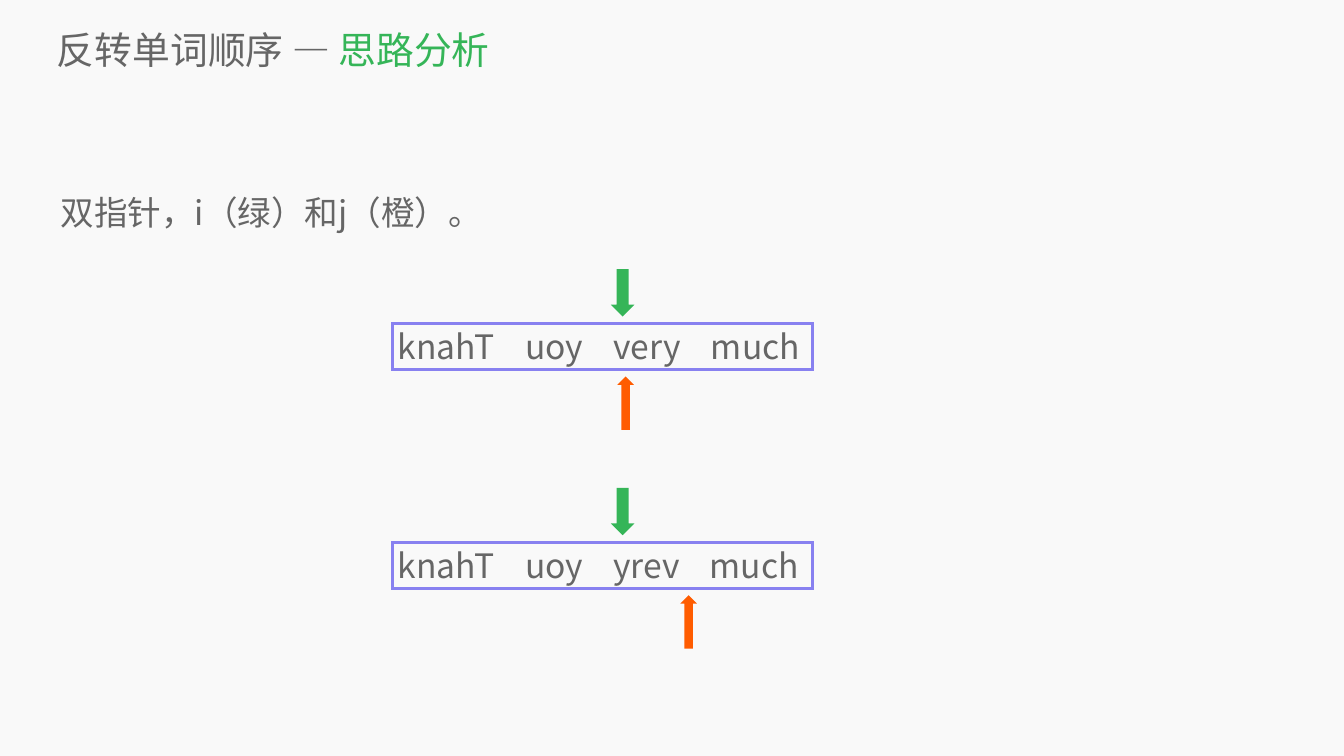
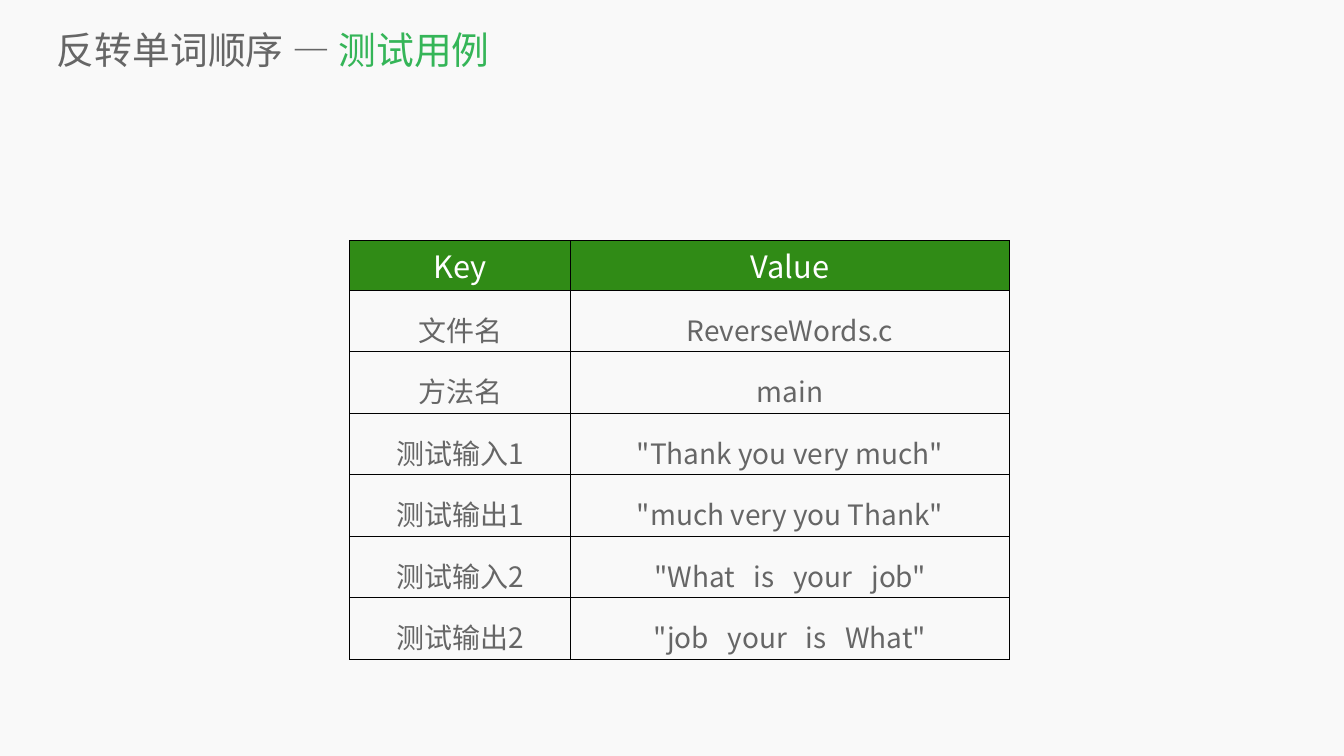
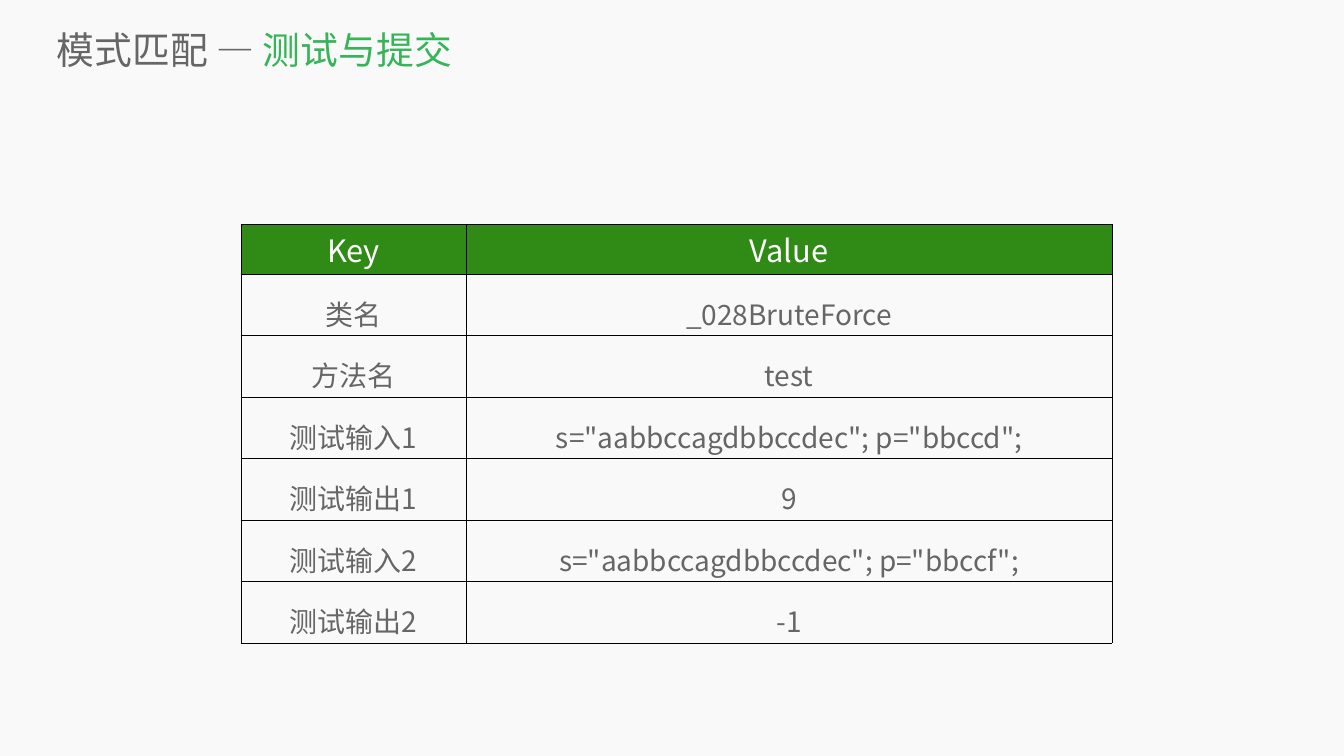
from dataclasses import dataclass

from lxml import etree
from pptx import Presentation
from pptx import util as u
from pptx.dml.color import RGBColor
from pptx.enum import shapes, text
from pptx.oxml import ns


@dataclass(frozen=True)
class Theme:
    font: str = "Noto Sans CJK SC"
    paper: str = "F9F9F9"
    ink: str = "666666"
    green: str = "35B558"
    orange: str = "FF5C00"
    frame: str = "8881F0"
    head: str = "308B16"
    white: str = "FFFFFF"
    border: str = "000000"
    title_pt: int = 54
    body_pt: int = 48
    head_pt: int = 44
    cell_pt: int = 40
    frame_pt: int = 4
    border_pt: int = 1
    spacing: float = 1.4


T = Theme()
SHAPE = shapes.MSO_SHAPE
HEAD_HEIGHT, ROW_HEIGHT = 0.99, 1.22


def rgb(value):
    return RGBColor.from_string(value)


def inches(*values):
    return [u.Inches(v) for v in values]


def add_run(p, words, size, color):
    r = p.add_run()
    r.text = words
    r.font.size, r.font.bold = u.Pt(size), False
    r.font.color.rgb = rgb(color)
    r.font.name = T.font
    ea = etree.SubElement(r.font._element, ns.qn("a:ea"))
    ea.set("typeface", T.font)


def add_text(s, box, runs, size, anchor, spacing=None):
    """Add a text box without insets; runs are (words, colour) pairs."""
    tf = s.shapes.add_textbox(*inches(*box)).text_frame
    tf.word_wrap, tf.vertical_anchor = True, anchor
    tf.margin_left = tf.margin_top = tf.margin_right = tf.margin_bottom = 0
    p = tf.paragraphs[0]
    p.line_spacing = spacing
    for words, color in runs:
        add_run(p, words, size, color)


def add_titled_slide(prs, topic, section):
    s = prs.slides.add_slide(prs.slide_layouts[6])
    add_text(s, (1.13, 0.47, 25.16, 1.02),
             [(f"{topic} — ", T.ink), (section, T.green)],
             T.title_pt, text.MSO_ANCHOR.MIDDLE)
    return s


def add_arrow(s, kind, box, color):
    sp = s.shapes.add_shape(kind, *inches(*box))
    sp.shadow.inherit = False
    sp.fill.solid()
    sp.fill.fore_color.rgb = rgb(color)
    sp.line.fill.background()


def add_pointer_step(s, box, words, j_offset):
    """Framed string with pointer i above it and pointer j below it."""
    left, top, _, height = box
    sp = s.shapes.add_shape(SHAPE.RECTANGLE, *inches(*box))
    sp.shadow.inherit = False
    sp.fill.background()
    sp.line.color.rgb, sp.line.width = rgb(T.frame), u.Pt(T.frame_pt)
    etree.SubElement(sp.line._get_or_add_ln(), ns.qn("a:miter"), lim="400000")
    tf = sp.text_frame
    tf.word_wrap, tf.vertical_anchor = True, text.MSO_ANCHOR.MIDDLE
    p = tf.paragraphs[0]
    p.alignment = text.PP_ALIGN.LEFT
    add_run(p, words, T.body_pt, T.ink)
    add_arrow(s, SHAPE.DOWN_ARROW, (left + 4.33, top - 1.08, 0.47, 0.94), T.green)
    add_arrow(s, SHAPE.UP_ARROW, (left + j_offset, top + height + 0.14, 0.33, 1.06), T.orange)


def add_borders(cell):
    tc_pr = cell._tc.get_or_add_tcPr()
    for side in ("lnL", "lnR", "lnT", "lnB"):
        ln = etree.SubElement(tc_pr, ns.qn(f"a:{side}"), w=str(u.Pt(T.border_pt)))
        fill = etree.SubElement(ln, ns.qn("a:solidFill"))
        etree.SubElement(fill, ns.qn("a:srgbClr"), val=T.border)


def fill_cell(cell, words, is_head):
    add_borders(cell)
    p = cell.text_frame.paragraphs[0]
    p.alignment = text.PP_ALIGN.CENTER
    if is_head:
        cell.fill.solid()
        cell.fill.fore_color.rgb = rgb(T.head)
        add_run(p, words, T.head_pt, T.white)
    else:
        cell.fill.background()
        p.line_spacing = T.spacing
        add_run(p, words, T.cell_pt, T.ink)


def add_key_value_table(s, left, top, widths, rows):
    rows = [("Key", "Value"), *rows]
    heights = [HEAD_HEIGHT] + [ROW_HEIGHT] * (len(rows) - 1)
    box = inches(left, top, sum(widths), sum(heights))
    table = s.shapes.add_table(len(rows), len(widths), *box).table
    table.horz_banding = False
    for column, width in zip(table.columns, widths):
        column.width = u.Inches(width)
    for i, (row, height) in enumerate(zip(table.rows, heights)):
        row.height = u.Inches(height)
        for cell, words in zip(row.cells, rows[i]):
            fill_cell(cell, words, i == 0)


def test_rows(name_key, name, method, cases):
    rows = [(name_key, name), ("方法名", method)]
    for n, (given, expected) in enumerate(cases, 1):
        rows += [(f"测试输入{n}", given), (f"测试输出{n}", expected)]
    return rows


def build_analysis(prs):
    s = add_titled_slide(prs, "反转单词顺序", "思路分析")
    add_text(s, (1.2, 3.49, 24.28, 11.24), [("双指针，i（绿）和j（橙）。", T.ink)],
             T.body_pt, text.MSO_ANCHOR.TOP, T.spacing)
    steps = [("knahT    uoy    very    much", 4.46),
             ("knahT    uoy    yrev    much", 5.71)]
    for n, (words, j_offset) in enumerate(steps):
        add_pointer_step(s, (7.79, 6.42 + n * 4.34, 8.34, 0.91), words, j_offset)


def build_reverse_tests(prs):
    s = add_titled_slide(prs, "反转单词顺序", "测试用例")
    cases = [('"Thank you very much"', '"much very you Thank"'),
             ('"What   is   your   job"', '"job   your   is   What"')]
    add_key_value_table(s, 6.94, 4.77, (4.38, 8.71),
                        test_rows("文件名", "ReverseWords.c", "main", cases))


def build_matching_tests(prs):
    s = add_titled_slide(prs, "模式匹配", "测试与提交")
    cases = [('s="aabbccagdbbccdec"; p="bbccd";', "9"),
             ('s="aabbccagdbbccdec"; p="bbccf";', "-1")]
    add_key_value_table(s, 4.78, 4.45, (4.47, 12.82),
                        test_rows("类名", "_028BruteForce", "test", cases))


def main():
    prs = Presentation()
    prs.slide_width, prs.slide_height = inches(26.67, 15)
    background = prs.slide_master.background.fill
    background.solid()
    background.fore_color.rgb = rgb(T.paper)
    build_analysis(prs)
    build_reverse_tests(prs)
    build_matching_tests(prs)
    prs.save("out.pptx")


if __name__ == "__main__":
    main()
